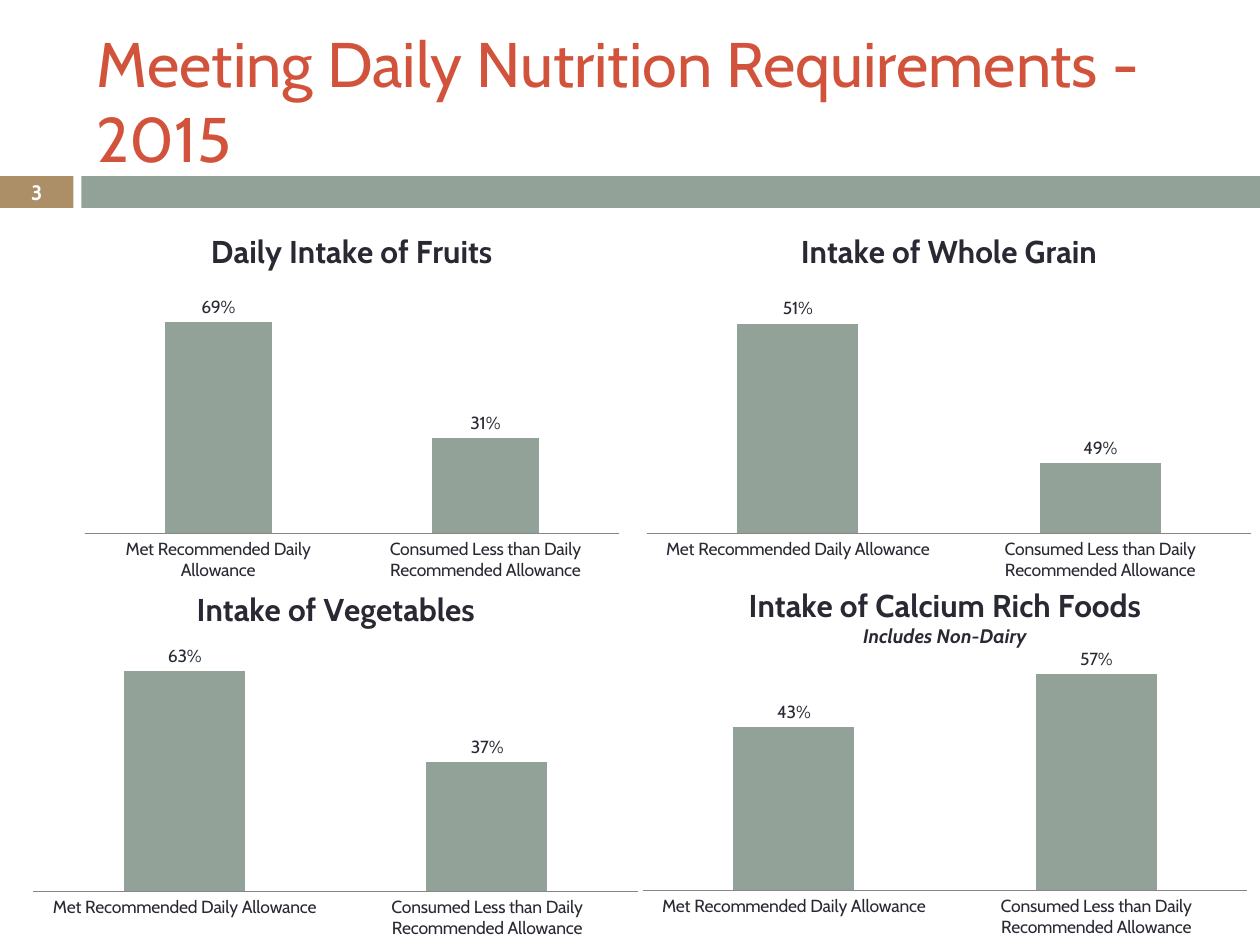
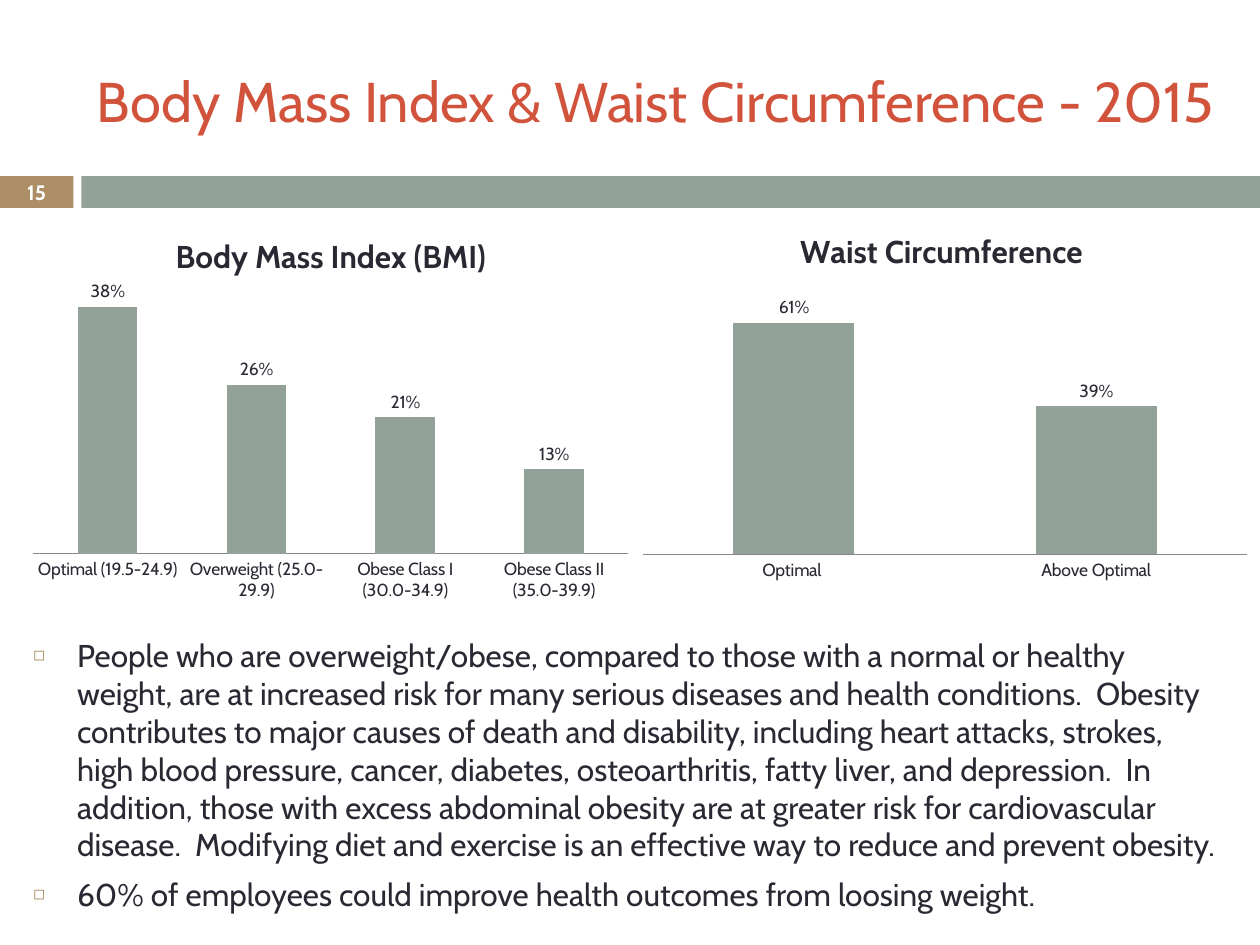
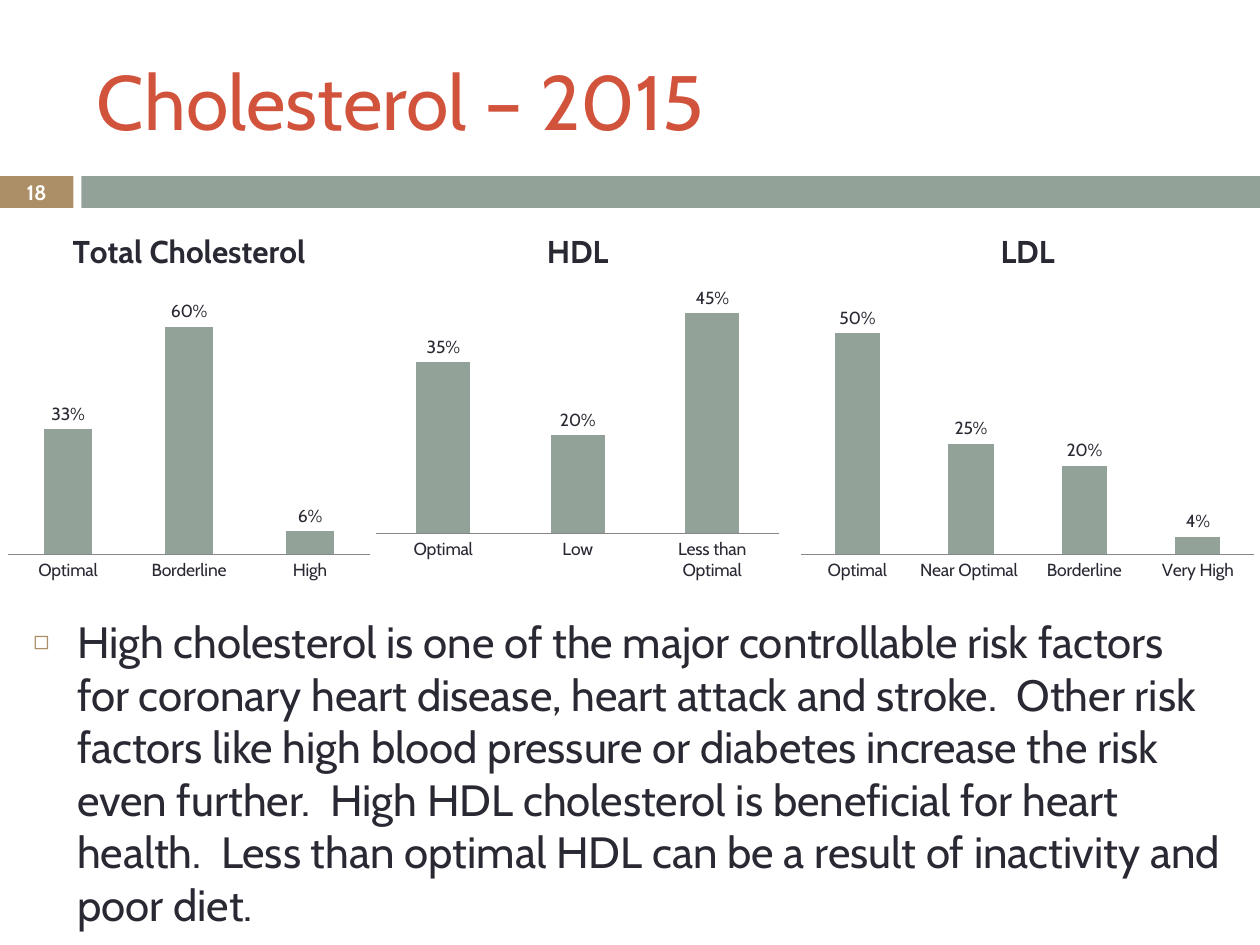
import dataclasses

import lxml.etree
import pptx
import pptx.chart.data
import pptx.dml.color
import pptx.enum.chart
import pptx.enum.shapes
import pptx.enum.text
import pptx.oxml
import pptx.oxml.ns
import pptx.util


@dataclasses.dataclass(frozen=True)
class Theme:
    """Colours, font and type sizes shared by all slides."""
    font: str = "Cabin"
    title: str = "D2533C"
    text: str = "292934"
    sage: str = "93A299"
    tan: str = "AD8F67"
    axis: str = "868686"
    white: str = "FFFFFF"
    nutrition_title: float = 36
    body_mass_title: float = 32
    cholesterol_title: float = 44
    body_mass_list: float = 18
    cholesterol_list: float = 25
    chart_title: float = 18
    chart_subtitle: float = 11.2
    chart_text: float = 10
    number: float = 11.9


@dataclasses.dataclass(frozen=True)
class Box:
    """A rectangle measured in centimetres."""
    left: float
    top: float
    width: float
    height: float

    def lengths(self):
        """Return left, top, width and height as slide lengths."""
        return [pptx.util.Cm(value) for value in dataclasses.astuple(self)]


@dataclasses.dataclass(frozen=True)
class Columns:
    """Title, values and scale of one column chart."""
    title: str
    values: dict
    top: float
    bottom: float = 0
    subtitle: str = ""


THEME = Theme()
BAND = Box(0, 3.55, 25.4, 0.64)
NUMBER_WIDTH = 1.48
BAND_GAP = 0.16
CHART_TOP = 4.23
CHART_HEIGHT = 7.62
LIST_LEFT, LIST_WIDTH = 0.42, 24.45
TITLE_ONLY, TITLE_AND_BODY = 5, 1


def rgb(value):
    """Return a colour from its hexadecimal form."""
    return pptx.dml.color.RGBColor.from_string(value)


def set_font(font, size, color, bold=False, italic=False):
    """Apply the deck font with a size, colour and style."""
    font.name = THEME.font
    font.size = pptx.util.Pt(size)
    font.bold = bold
    font.italic = italic
    font.color.rgb = rgb(color)


def move(shape, box):
    """Place a shape in a box."""
    shape.left, shape.top, shape.width, shape.height = box.lengths()


def add_master_band(master, page, box):
    """Draw the two parts of the band and hand them to the master."""
    start = NUMBER_WIDTH + BAND_GAP
    parts = [
        (Box(box.left, box.top, NUMBER_WIDTH, box.height), THEME.tan),
        (Box(box.left + start, box.top, box.width - start, box.height), THEME.sage),
    ]
    for index, (part, color) in enumerate(parts):
        band = page.shapes.add_shape(
            pptx.enum.shapes.MSO_SHAPE.RECTANGLE, *part.lengths())
        band.shadow.inherit = False
        band.fill.solid()
        band.fill.fore_color.rgb = rgb(color)
        band.line.fill.background()
        master.element.cSld.spTree.insert(2 + index, band.element)


def add_title(page, box, text, size):
    """Fill and format the title placeholder."""
    title = page.shapes.title
    move(title, box)
    frame = title.text_frame
    frame.text = text
    frame.word_wrap = True
    frame.auto_size = pptx.enum.text.MSO_AUTO_SIZE.NONE
    frame.vertical_anchor = pptx.enum.text.MSO_ANCHOR.MIDDLE
    para = frame.paragraphs[0]
    para.alignment = pptx.enum.text.PP_ALIGN.LEFT
    set_font(para.font, size, THEME.title)


def add_number(page, box, number):
    """Write the page number on the left part of the band."""
    frame = page.shapes.add_textbox(*box.lengths()).text_frame
    frame.word_wrap = True
    frame.margin_left = frame.margin_right = 0
    frame.margin_top = frame.margin_bottom = 0
    frame.vertical_anchor = pptx.enum.text.MSO_ANCHOR.MIDDLE
    para = frame.paragraphs[0]
    para.text = str(number)
    para.alignment = pptx.enum.text.PP_ALIGN.CENTER
    set_font(para.font, THEME.number, THEME.white, bold=True)


def add_bullet(para):
    """Give a paragraph a hanging square bullet."""
    properties = para._p.get_or_add_pPr()
    indent = pptx.util.Cm(0.88)
    properties.set("marL", str(indent))
    properties.set("indent", str(-indent))
    color = lxml.etree.SubElement(properties, pptx.oxml.ns.qn("a:buClr"))
    lxml.etree.SubElement(color, pptx.oxml.ns.qn("a:srgbClr"), val=THEME.tan)
    lxml.etree.SubElement(properties, pptx.oxml.ns.qn("a:buSzPct"), val="60000")
    lxml.etree.SubElement(properties, pptx.oxml.ns.qn("a:buChar"), char="\u25fb")


def add_body(page, box, texts, size):
    """Fill the body placeholder with a bulleted list."""
    body = page.placeholders[1]
    move(body, box)
    frame = body.text_frame
    frame.word_wrap = True
    frame.auto_size = pptx.enum.text.MSO_AUTO_SIZE.NONE
    frame.text = "\n".join(texts)
    for para in frame.paragraphs:
        para.space_before = pptx.util.Pt(7)
        add_bullet(para)
        set_font(para.font, size, THEME.text)


def clear_background(chart):
    """Make the chart area transparent and borderless."""
    area = pptx.oxml.parse_xml(
        "<c:spPr %s><a:noFill/><a:ln><a:noFill/></a:ln></c:spPr>"
        % pptx.oxml.ns.nsdecls("c", "a"))
    chart.element.find(pptx.oxml.ns.qn("c:txPr")).addprevious(area)


def add_chart_title(chart, columns):
    """Write the chart title and its optional second line."""
    chart.has_title = True
    frame = chart.chart_title.text_frame
    frame.text = columns.title
    set_font(frame.paragraphs[0].font, THEME.chart_title, THEME.text, bold=True)
    if columns.subtitle:
        para = frame.add_paragraph()
        para.text = columns.subtitle
        set_font(para.font, THEME.chart_subtitle, THEME.text, bold=True, italic=True)


def add_columns(page, box, columns):
    """Draw a column chart with labelled bars and no value axis."""
    data = pptx.chart.data.CategoryChartData(number_format="0%")
    data.categories = list(columns.values)
    data.add_series("Series 1", list(columns.values.values()))
    chart = page.shapes.add_chart(
        pptx.enum.chart.XL_CHART_TYPE.COLUMN_CLUSTERED, *box.lengths(), data).chart
    set_font(chart.font, THEME.chart_text, THEME.text)
    clear_background(chart)
    add_chart_title(chart, columns)
    chart.has_legend = False

    scale = chart.value_axis
    scale.visible = False
    scale.has_major_gridlines = False
    scale.minimum_scale, scale.maximum_scale = columns.bottom, columns.top
    base = chart.category_axis
    base.major_tick_mark = pptx.enum.chart.XL_TICK_MARK.NONE
    base.format.line.color.rgb = rgb(THEME.axis)
    base.format.line.width = pptx.util.Pt(0.75)

    plot = chart.plots[0]
    plot.vary_by_categories = False
    plot.gap_width, plot.overlap = 150, -25
    fill = plot.series[0].format.fill
    fill.solid()
    fill.fore_color.rgb = rgb(THEME.sage)
    plot.has_data_labels = True
    labels = plot.data_labels
    labels.show_value = True
    labels.number_format, labels.number_format_is_linked = "0%", False
    labels.position = pptx.enum.chart.XL_LABEL_POSITION.OUTSIDE_END


def add_page(deck, layout, number, title, title_size, title_width):
    """Start a slide with its title and page number."""
    page = deck.slides.add_slide(deck.slide_layouts[layout])
    add_title(page, Box(1.7, 0.64, title_width, 2.74), title, title_size)
    add_number(page, Box(BAND.left, 3.53, NUMBER_WIDTH, 0.69), number)
    return page


def allowance(met, less):
    """Pair the two intake shares with their categories."""
    return {"Met Recommended Daily Allowance": met,
            "Consumed Less than Daily Recommended Allowance": less}


def build_nutrition(deck):
    """Build the slide with four intake charts."""
    page = add_page(deck, TITLE_ONLY, 3, "Meeting Daily Nutrition Requirements - 2015",
                    THEME.nutrition_title, 23.5)
    charts = [
        (12.7, 11.43, 12.7, Columns("Intake of Calcium Rich Foods", allowance(0.43, 0.57),
                                    0.6, subtitle="Includes Non-Dairy")),
        (12.78, CHART_TOP, 12.7, Columns("Intake of Whole Grain", allowance(0.51, 0.49),
                                         0.515, 0.48)),
        (1.48, CHART_TOP, 11.22, Columns("Daily Intake of Fruits",
                                         allowance(0.69, 0.31), 0.8)),
        (0.42, 11.45, 12.7, Columns("Intake of Vegetables", allowance(0.63, 0.37), 0.7)),
    ]
    for left, top, width, columns in charts:
        add_columns(page, Box(left, top, width, CHART_HEIGHT), columns)
    return page


def build_body_mass(deck):
    """Build the slide on body mass index and waist."""
    page = add_page(deck, TITLE_AND_BODY, 15,
                    "Body Mass Index & Waist Circumference - 2015",
                    THEME.body_mass_title, 23.7)
    add_body(page, Box(LIST_LEFT, 12.7, LIST_WIDTH, 5.72), [
        "People who are overweight/obese, compared to those with a normal or healthy "
        "weight, are at increased risk for many serious diseases and health conditions.  "
        "Obesity contributes to major causes of death and disability, including heart "
        "attacks, strokes, high blood pressure, cancer, diabetes, osteoarthritis, fatty "
        "liver, and\u00a0depression.  In addition, those with excess abdominal obesity are "
        "at greater risk for cardiovascular disease.  Modifying diet and exercise is an "
        "effective way to reduce and prevent obesity.",
        "60% of employees could improve health outcomes from loosing weight.",
    ], THEME.body_mass_list)
    add_columns(page, Box(12.7, CHART_TOP, 12.7, CHART_HEIGHT), Columns(
        "Waist Circumference ", {"Optimal ": 0.61, "Above Optimal": 0.39}, 0.7))
    add_columns(page, Box(0.42, 4.32, 12.5, 7.95), Columns("Body Mass Index (BMI)", {
        "Optimal (19.5-24.9)": 0.38,
        "Overweight (25.0-29.9)": 0.26,
        "Obese Class I (30.0-34.9)": 0.21,
        "Obese Class II (35.0-39.9)": 0.13,
    }, 0.4))


def build_cholesterol(deck):
    """Build the slide with three cholesterol charts."""
    page = add_page(deck, TITLE_AND_BODY, 18, "Cholesterol \u2013 2015",
                    THEME.cholesterol_title, 22.66)
    add_body(page, Box(LIST_LEFT, 12.27, LIST_WIDTH, 6.35), [
        "High cholesterol is one of the major controllable risk factors for coronary heart "
        "disease, heart attack and stroke.  Other risk factors like high blood pressure or "
        "diabetes increase the risk even further.  High HDL cholesterol is beneficial for "
        "heart health.  Less than optimal HDL can be a result of inactivity and poor diet.",
    ], THEME.cholesterol_list)
    charts = [
        (0, 7.62, Columns("Total Cholesterol",
                          {"Optimal": 0.33, "Borderline": 0.6, "High": 0.06}, 0.7)),
        (7.41, 8.47, Columns("HDL", {"Optimal": 0.35, "Low": 0.2,
                                     "Less than Optimal": 0.45}, 0.5)),
        (15.95, 9.53, Columns("LDL", {"Optimal": 0.5, "Near Optimal ": 0.25,
                                      "Borderline": 0.2, "Very High": 0.04}, 0.6)),
    ]
    for left, width, columns in charts:
        add_columns(page, Box(left, CHART_TOP, width, CHART_HEIGHT), columns)


def main():
    """Build and save the deck."""
    deck = pptx.Presentation()
    deck.slide_width, deck.slide_height = pptx.util.Cm(25.4), pptx.util.Cm(19.05)
    first = build_nutrition(deck)
    add_master_band(deck.slide_master, first, BAND)
    build_body_mass(deck)
    build_cholesterol(deck)
    deck.save("out.pptx")


main()
